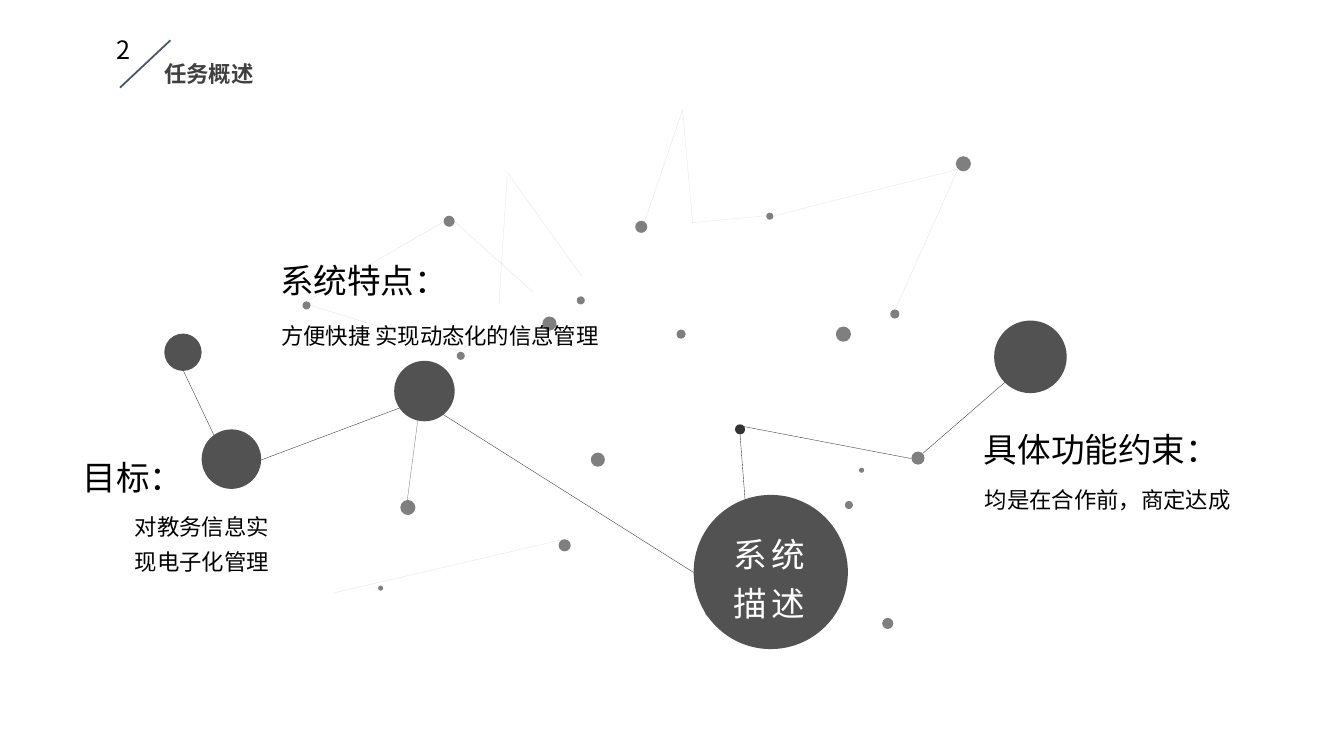
import pptx
import pptx.dml.color
import pptx.enum.shapes
import pptx.enum.text
import pptx.util
from lxml import etree
from pptx.oxml.ns import qn

Inches = pptx.util.Inches
RGBColor = pptx.dml.color.RGBColor
AutoSize = pptx.enum.text.MSO_AUTO_SIZE

BLACK = RGBColor(0x00, 0x00, 0x00)
WHITE = RGBColor(0xFF, 0xFF, 0xFF)
GRAY = RGBColor(0x7F, 0x7F, 0x7F)
CHARCOAL = RGBColor(0x33, 0x33, 0x33)
NODE_GRAY = RGBColor(0x52, 0x52, 0x52)
TITLE_GRAY = RGBColor(0x40, 0x40, 0x40)
SLATE = RGBColor(0x44, 0x54, 0x6A)
HEADING_FONT = "Noto Sans CJK JP"
BODY_FONT = "Noto Sans CJK SC"

deck = pptx.Presentation()
deck.slide_width = Inches(13.33)
deck.slide_height = Inches(7.5)
page = deck.slides.add_slide(deck.slide_layouts[6])


def add_line(x1, y1, x2, y2, color, width=0.25, opacity=100):
    """Draw a straight line; opacity is a percentage."""
    line = page.shapes.add_connector(
        pptx.enum.shapes.MSO_CONNECTOR.STRAIGHT,
        Inches(x1), Inches(y1), Inches(x2), Inches(y2))
    line.line.color.rgb = color
    line.line.width = pptx.util.Pt(width)
    if opacity < 100:
        tint = line.line._ln.find(".//" + qn("a:srgbClr"))
        etree.SubElement(tint, qn("a:alpha"), val=str(opacity * 1000))
    etree.SubElement(line._element.spPr, qn("a:effectLst"))


def add_text(text, left, top, width, height, size, font, color=BLACK,
             spacing=1.3, wrap=True, grow=True):
    """Add a one-run text box and return its frame and run."""
    box = page.shapes.add_textbox(Inches(left), Inches(top), Inches(width), Inches(height))
    frame = box.text_frame
    frame.word_wrap = wrap
    frame.auto_size = AutoSize.SHAPE_TO_FIT_TEXT if grow else AutoSize.NONE
    para = frame.paragraphs[0]
    para.line_spacing = spacing
    span = para.add_run()
    span.text = text
    span.font.size = pptx.util.Pt(size)
    span.font.name = font
    span.font.color.rgb = color
    etree.SubElement(span.font._element, qn("a:ea"), typeface=font)
    return frame, span


# Faint constellation lines: x1, y1, x2, y2, opacity
faint_lines = [
    (5.03, 1.75, 4.95, 3.00, 18), (6.77, 1.09, 6.39, 2.21, 18),
    (6.77, 1.09, 6.87, 2.21, 18), (7.68, 2.14, 9.50, 1.68, 18),
    (7.60, 2.14, 6.85, 2.21, 18), (5.03, 1.71, 5.77, 2.74, 18),
    (3.32, 5.88, 5.64, 5.34, 20), (9.50, 1.68, 8.88, 3.07, 20),
    (3.08, 3.03, 4.57, 3.49, 20), (3.02, 3.00, 4.40, 2.20, 20),
    (4.51, 2.20, 5.29, 2.90, 20),
]
for x1, y1, x2, y2, opacity in faint_lines:
    add_line(x1, y1, x2, y2, GRAY, opacity=opacity)

# Edges between the main nodes
edges = [
    (9.97, 3.79, 9.15, 4.50, CHARCOAL), (9.04, 4.55, 7.37, 4.23, CHARCOAL),
    (7.34, 4.31, 7.39, 4.96, CHARCOAL), (6.88, 5.68, 4.17, 3.97, CHARCOAL),
    (4.17, 3.97, 2.28, 4.68, CHARCOAL), (1.82, 3.68, 2.28, 4.65, CHARCOAL),
    (4.04, 4.96, 4.17, 3.97, GRAY),
]
for edge in edges:
    add_line(*edge)

# Circles by colour: left, top, diameter
circles = {
    GRAY: [
        (3.97, 4.96, 0.15), (3.75, 5.81, 0.05), (7.64, 5.64, 0.06), (7.90, 5.22, 0.07),
        (7.60, 2.11, 0.07), (4.53, 3.49, 0.08), (5.72, 2.94, 0.08), (6.71, 3.27, 0.09),
        (8.83, 3.07, 0.09), (8.75, 6.13, 0.11), (8.38, 4.97, 0.08), (6.30, 2.19, 0.12),
        (5.54, 5.35, 0.12), (6.99, 6.00, 0.13), (8.52, 4.64, 0.05), (5.86, 4.49, 0.14),
        (5.38, 3.14, 0.14), (8.29, 3.24, 0.15), (9.48, 1.55, 0.15), (9.04, 4.48, 0.13),
        (4.40, 2.14, 0.11), (3.00, 2.99, 0.08),
    ],
    CHARCOAL: [(7.29, 4.21, 0.10)],
    NODE_GRAY: [
        (9.86, 3.18, 0.72), (6.88, 4.91, 1.53), (1.63, 3.31, 0.37),
        (3.91, 3.58, 0.60), (2.00, 4.26, 0.59),
    ],
}
for color, places in circles.items():
    for left, top, diameter in places:
        circle = page.shapes.add_shape(
            pptx.enum.shapes.MSO_SHAPE.OVAL,
            Inches(left), Inches(top), Inches(diameter), Inches(diameter))
        circle.shadow.inherit = False
        circle.fill.solid()
        circle.fill.fore_color.rgb = color
        circle.line.fill.background()

# Topic headings and their descriptions
headings = [
    ("具体功能约束：", 9.66, 4.09, 2.70),
    ("目标：", 0.72, 4.36, 1.28),
    ("系统特点：", 2.68, 2.41, 1.87),
]
for text, left, top, width in headings:
    add_text(text, left, top, width, 0.62, 24, HEADING_FONT, wrap=False)

descriptions = [
    ("均是在合作前，商定达成", 9.67, 4.69, 3.27, 0.45, True),
    ("对教务信息实现电子化管理", 1.24, 4.96, 1.61, 1.18, False),
    ("方便快捷 实现动态化的信息管理", 2.69, 3.07, 3.86, 0.45, True),
]
for text, left, top, width, height, grow in descriptions:
    add_text(text, left, top, width, height, 16, BODY_FONT, grow=grow)

# Hub label
hub_frame, hub_span = add_text("系统描述", 7.18, 5.17, 1.1, 1.07, 24, HEADING_FONT,
                               WHITE, spacing=1.2)
hub_span.font._element.set("spc", "300")

# Section number and title
add_line(1.69, 0.4, 1.19, 0.87, SLATE, width=1.25)
add_text("2", 1.06, 0.29, 0.39, 0.4, 18, BODY_FONT, spacing=1.0)
title_frame, title_span = add_text("任务概述", 1.53, 0.55, 1.78, 0.37, 16, BODY_FONT,
                                   TITLE_GRAY, spacing=1.0, grow=False)
title_span.font.bold = True

deck.save("out.pptx")
